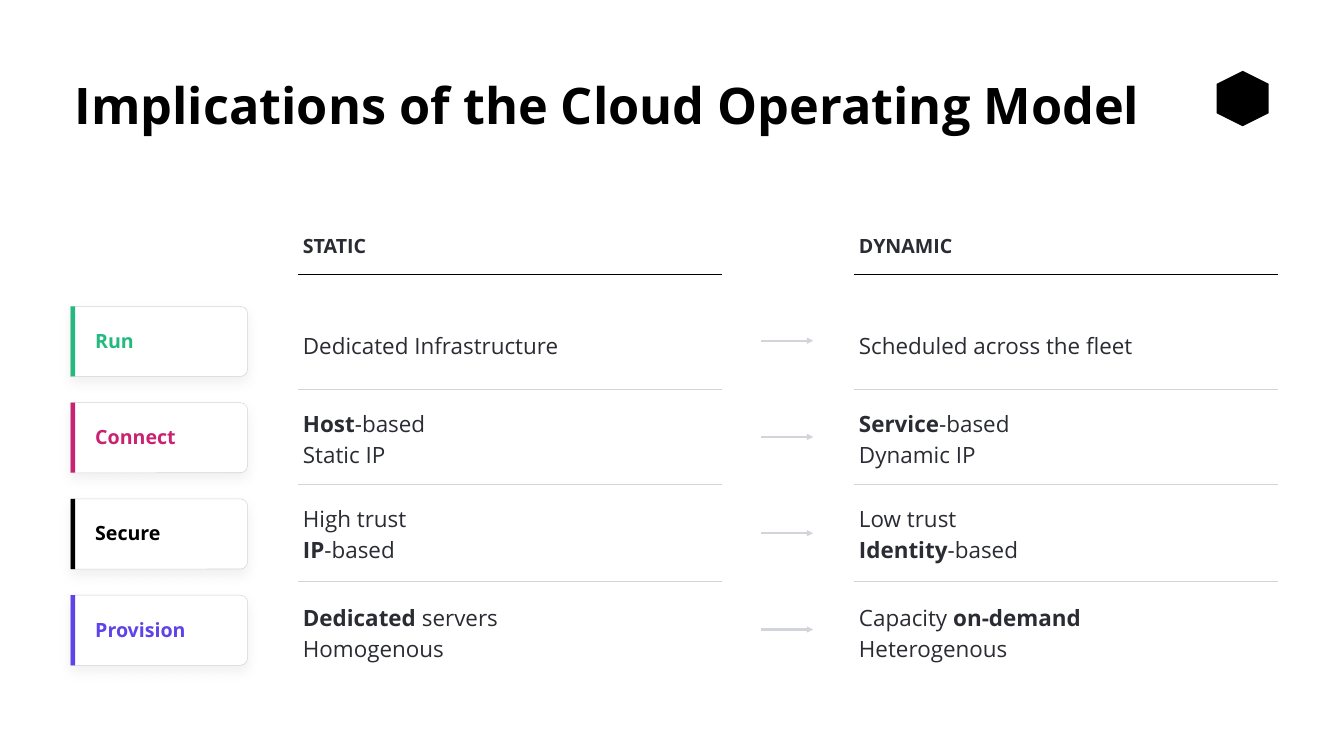
from dataclasses import dataclass

from lxml import etree
from pptx import Presentation
from pptx.dml.color import RGBColor
from pptx.enum.shapes import MSO_CONNECTOR, MSO_SHAPE
from pptx.enum.text import MSO_ANCHOR, MSO_AUTO_SIZE, PP_ALIGN
from pptx.oxml import parse_xml
from pptx.oxml.ns import nsdecls, qn
from pptx.util import Inches, Pt

LINE = MSO_CONNECTOR.STRAIGHT
RECT, CARD, HEXAGON = MSO_SHAPE.RECTANGLE, MSO_SHAPE.ROUND_2_SAME_RECTANGLE, MSO_SHAPE.HEXAGON
TOP, MIDDLE = MSO_ANCHOR.TOP, MSO_ANCHOR.MIDDLE
LEFT, NO_FIT = PP_ALIGN.LEFT, MSO_AUTO_SIZE.NONE

FONT = "Open Sans"
BLACK, WHITE, INK, GREY = "000000", "FFFFFF", "2A2B33", "D2D4DB"
COLUMN_X = (5.91, 16.94)
COLUMN_W = 8.42
HEADINGS = ("STATIC", "DYNAMIC")
CARD_X, CARD_Y, CARD_W, CARD_H = 1.4, 6.08, 3.51, 1.39
ARROW_X, ARROW_Y, ARROW_W = 15.1, 6.76, 1.03
PITCH = 1.91

Run = tuple[str, bool]  # text, bold
Lines = list[list[Run]]


@dataclass
class Row:
    label: str
    color: str
    text_y: float
    static: Lines
    dynamic: Lines
    divider_y: float | None = None


ROWS = [
    Row("Run", "24B97F", 6.41,
        [[("Dedicated Infrastructure", False)]],
        [[("Scheduled across the fleet", False)]], 7.73),
    Row("Connect", "CA2171", 7.95,
        [[("Host", True), ("-based", False)], [("Static IP", False)]],
        [[("Service", True), ("-based", False)], [("Dynamic IP", False)]], 9.61),
    Row("Secure", BLACK, 9.85,
        [[("High trust", False)], [("IP", True), ("-based", False)]],
        [[("Low trust", False)], [("Identity", True), ("-based", False)]], 11.53),
    Row("Provision", "5F43E9", 11.8,
        [[("Dedicated", True), (" servers", False)], [("Homogenous", False)]],
        [[("Capacity", False), (" on-demand", True)], [("Heterogenous", False)]]),
]


def rgb(color: str) -> RGBColor:
    return RGBColor.from_string(color)


def write(tf, lines: Lines, size: float, color: str, spacing: float = 1.0,
          inset: float = 0.1, anchor=TOP) -> None:
    frame = {"word_wrap": True, "auto_size": NO_FIT, "vertical_anchor": anchor}
    frame |= {f"margin_{side}": Inches(inset) for side in ("left", "right", "top", "bottom")}
    for name, value in frame.items():
        setattr(tf, name, value)
    for i, line in enumerate(lines):
        p = tf.add_paragraph() if i else tf.paragraphs[0]
        p.alignment, p.line_spacing = LEFT, spacing
        for text, bold in line:
            r = p.add_run()
            r.text = text
            for name, value in {"name": FONT, "size": Pt(size), "bold": bold}.items():
                setattr(r.font, name, value)
            r.font.color.rgb = rgb(color)


def add_text(s, x: float, y: float, w: float, h: float, lines: Lines,
             size: float, color: str, spacing: float = 1.0) -> None:
    box = s.shapes.add_textbox(Inches(x), Inches(y), Inches(w), Inches(h))
    write(box.text_frame, lines, size, color, spacing)


def add_line(s, x: float, y: float, w: float, color: str, width: float,
             arrow: bool = False) -> None:
    line = s.shapes.add_connector(LINE, Inches(x), Inches(y), Inches(x + w), Inches(y))
    line.line.color.rgb = rgb(color)
    line.line.width = Pt(width)
    if arrow:
        etree.SubElement(line.line._get_or_add_ln(), qn("a:tailEnd"), type="triangle")
    etree.SubElement(line._element.spPr, qn("a:effectLst"))


def add_block(s, kind, x: float, y: float, w: float, h: float, fill: str):
    sp = s.shapes.add_shape(kind, Inches(x), Inches(y), Inches(w), Inches(h))
    sp.shadow.inherit = False
    sp.fill.solid()
    sp.fill.fore_color.rgb = rgb(fill)
    sp.line.fill.background()
    return sp


def add_soft_shadow(sp) -> None:
    effects = sp._element.spPr.find(qn("a:effectLst"))
    effects.append(parse_xml(
        f'<a:outerShdw {nsdecls("a")} blurRad="{Pt(18)}" dist="{Pt(9)}" dir="5400000" '
        'algn="ctr" rotWithShape="0">'
        f'<a:srgbClr val="{BLACK}"><a:alpha val="5000"/></a:srgbClr></a:outerShdw>'))


def add_card(s, y: float, label: str, color: str) -> None:
    # A quarter turn puts the two rounded corners on the right
    turn = (CARD_W - CARD_H) / 2
    sp = add_block(s, CARD, CARD_X + turn, y - turn, CARD_H, CARD_W, WHITE)
    sp.rotation = 90
    sp.adjustments[0], sp.adjustments[1] = 0.1, 0
    sp.line.color.rgb = rgb(GREY)
    sp.line.width = Pt(0.75)
    add_soft_shadow(sp)
    add_text(s, CARD_X + 0.39, y + 0.34, 2.81, 0.71, [[(label, True)]], 28, color)
    add_block(s, RECT, CARD_X, y, 0.09, CARD_H, color)


def main() -> None:
    prs = Presentation()
    prs.slide_width, prs.slide_height = Inches(26.66), Inches(15)
    s = prs.slides.add_slide(prs.slide_layouts[5])

    # Title and plain brand mark
    title = s.shapes.title
    for name, value in {"left": 1.48, "top": 1.51, "width": 22.14, "height": 0.94}.items():
        setattr(title, name, Inches(value))
    write(title.text_frame, [[("Implications of the Cloud Operating Model", True)]],
          72, BLACK, 1.15, 0, MIDDLE)
    title.text_frame.paragraphs[0].space_after = Pt(18)
    add_block(s, HEXAGON, 24.1, 1.44, 1.1, 1.03, BLACK).rotation = 90

    # Column headings
    for x, heading in zip(COLUMN_X, HEADINGS):
        add_line(s, x, 5.45, COLUMN_W, BLACK, 2.25)
        add_text(s, x, 4.54, COLUMN_W, 0.71, [[(heading, True)]], 28, INK)

    # Rows: card, two texts with dividers, arrow between them
    for i, row in enumerate(ROWS):
        add_card(s, CARD_Y + i * PITCH, row.label, row.color)
        add_line(s, ARROW_X, ARROW_Y + i * PITCH, ARROW_W, GREY, 3, arrow=True)
        for x, lines in zip(COLUMN_X, (row.static, row.dynamic)):
            add_text(s, x, row.text_y, COLUMN_W, 0.72 * len(lines), lines, 32, INK, 1.15)
            if row.divider_y:
                add_line(s, x, row.divider_y, COLUMN_W, GREY, 1.5)

    prs.save("out.pptx")


if __name__ == "__main__":
    main()
